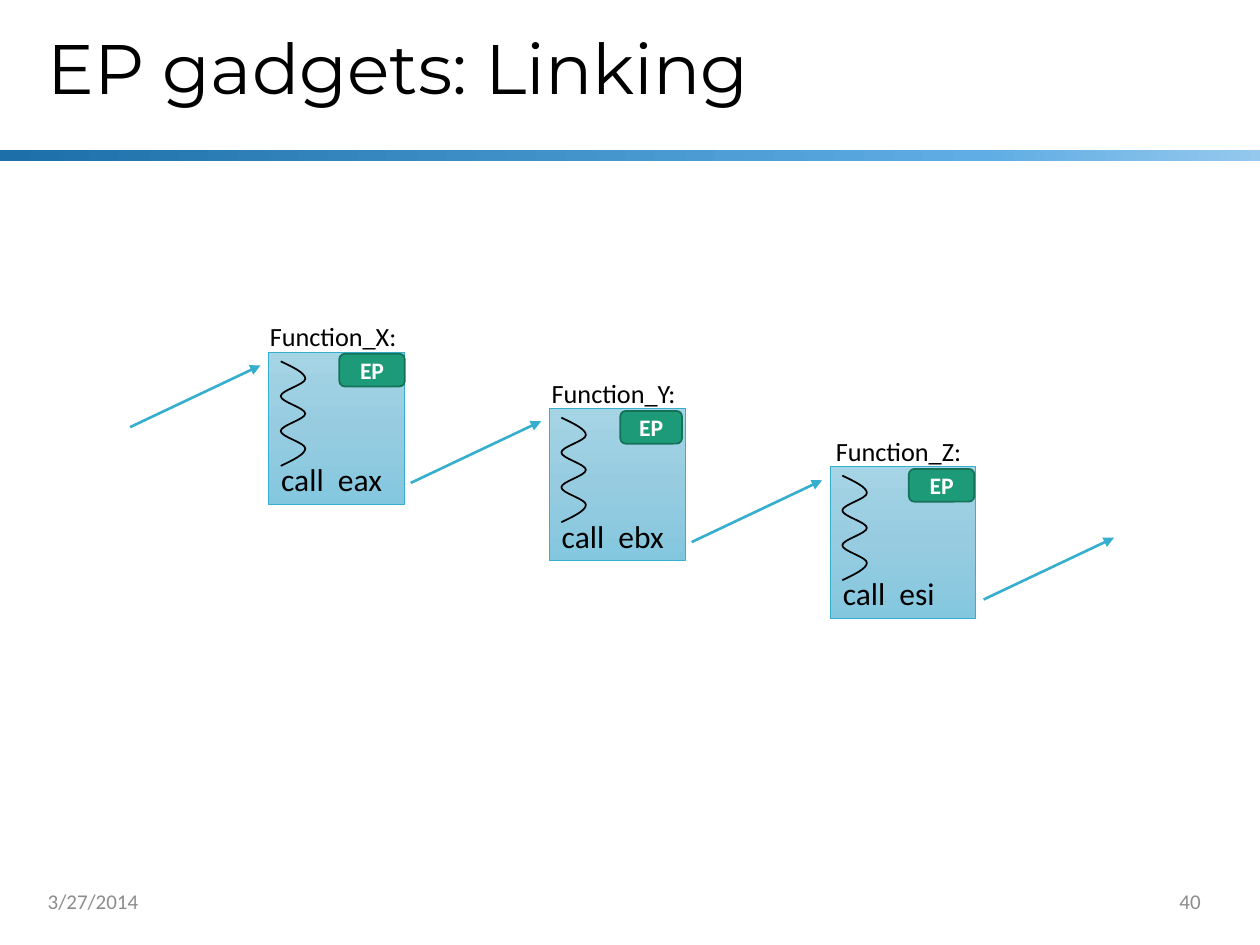
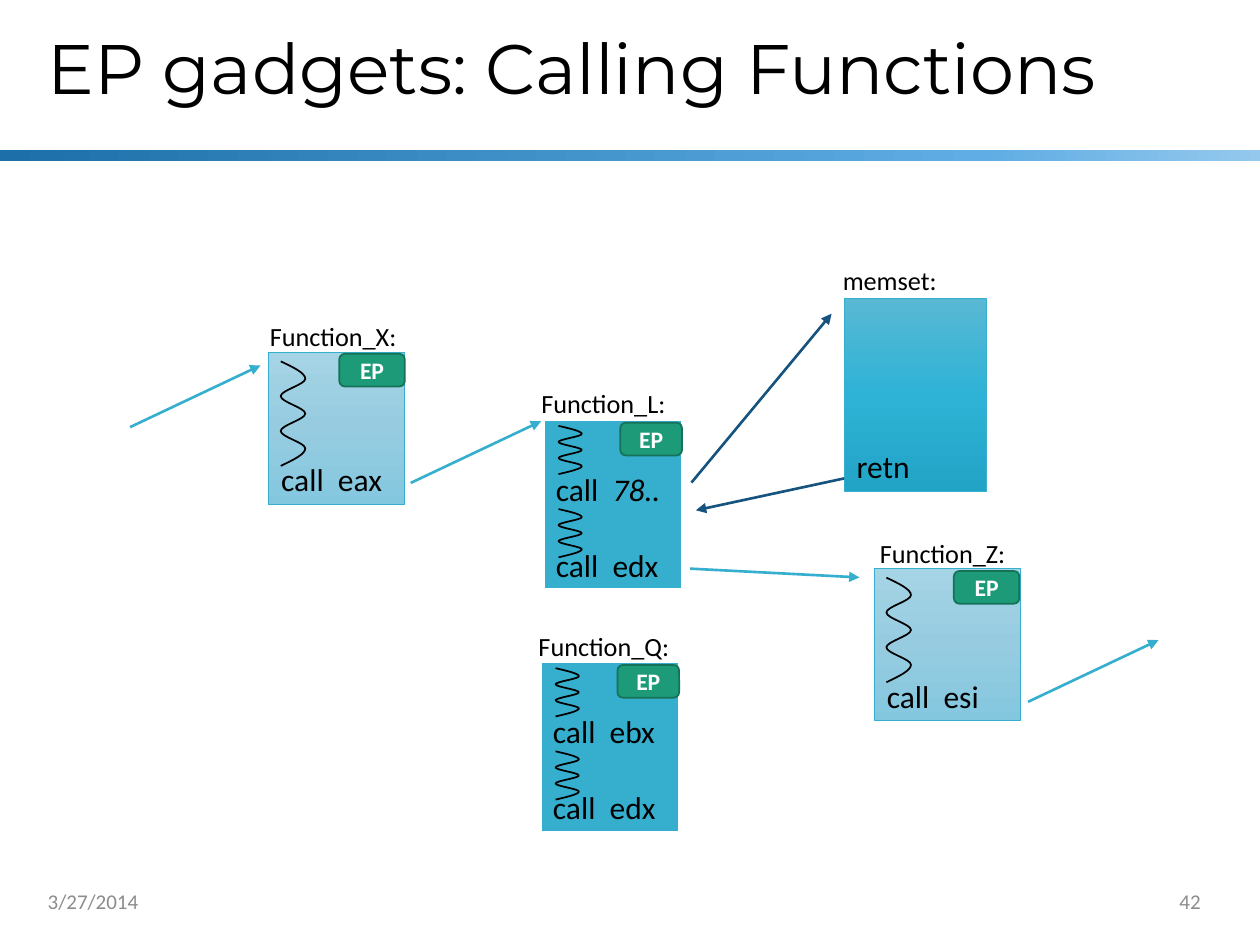
import pptx
import pptx.dml.color
import pptx.enum.shapes
import pptx.enum.text
import pptx.oxml
import pptx.oxml.ns
import pptx.util

RGB = pptx.dml.color.RGBColor
SHAPE = pptx.enum.shapes.MSO_SHAPE
ANCHOR = pptx.enum.text.MSO_ANCHOR
ALIGN = pptx.enum.text.PP_ALIGN
Pt = pptx.util.Pt

BLACK = RGB(0x00, 0x00, 0x00)
WHITE = RGB(0xFF, 0xFF, 0xFF)
GREY = RGB(0x8C, 0x8C, 0x8C)
CYAN = RGB(0x36, 0xAF, 0xCE)
NAVY = RGB(0x16, 0x53, 0x7F)
GREEN = RGB(0x1D, 0x9A, 0x78)
DARK_GREEN = RGB(0x15, 0x72, 0x59)
BAND = [(0, RGB(0x1D, 0x6F, 0xA9)), (78, RGB(0x5F, 0xAD, 0xE4)), (100, RGB(0x94, 0xC8, 0xED))]
PALE = [(0, RGB(0xA5, 0xD4, 0xE5)), (50, RGB(0x97, 0xCC, 0xE0)), (100, RGB(0x83, 0xC7, 0xDF))]
DEEP = [(0, RGB(0x59, 0xB8, 0xD4)), (50, RGB(0x2E, 0xB3, 0xD6)), (100, RGB(0x21, 0xA4, 0xC6))]

COLUMNS, ROWS = 100, 75
CELL = pptx.util.Inches(0.1)

TITLE = dict(name="Montserrat", size=Pt(40))
FOOTER = dict(name="Calibri", size=Pt(12))
LABEL = dict(name="Calibri", size=Pt(15))
CODE = dict(name="Calibri", size=Pt(18))
BADGE = dict(name="Calibri", size=Pt(13.5), bold=True)

ENTRY = (10.33, 33.9)
HOP = (10.35, -4.9)


def cells(*lengths):
    """Turn grid cells into EMU."""
    return [round(n * CELL) for n in lengths]


def write(p, text, style, color=BLACK, **extra):
    """Add a formatted run to a paragraph."""
    r = p.add_run()
    r.text = text
    for key, value in {**style, **extra}.items():
        setattr(r.font, key, value)
    r.font.color.rgb = color


def add_text(s, box, text, style, color=BLACK, align=ALIGN.LEFT, anchor=ANCHOR.TOP, wrap=True):
    """Add a one-paragraph text box and return its paragraph."""
    tf = s.shapes.add_textbox(*cells(*box)).text_frame
    tf.word_wrap, tf.vertical_anchor = wrap, anchor
    p = tf.paragraphs[0]
    p.alignment = align
    write(p, text, style, color)
    return p


def add_box(s, kind, box, fill, line=None, width=0.5, angle=90):
    """Add a shape with a solid colour or a list of gradient stops."""
    sp = s.shapes.add_shape(kind, *cells(*box))
    sp.shadow.inherit = False
    if isinstance(fill, RGB):
        sp.fill.solid()
        sp.fill.fore_color.rgb = fill
    else:
        sp.fill.background()
        stops = "".join(f'<a:gs pos="{pos * 1000}"><a:srgbClr val="{color}"/></a:gs>' for pos, color in fill)
        gradient = pptx.oxml.parse_xml(
            f'<a:gradFill {pptx.oxml.ns.nsdecls("a")} rotWithShape="1"><a:gsLst>{stops}</a:gsLst>'
            f'<a:lin ang="{angle * 60000}" scaled="0"/></a:gradFill>')
        sp_pr = sp._element.spPr
        sp_pr.replace(sp_pr.find(pptx.oxml.ns.qn("a:noFill")), gradient)
    if line is None:
        sp.line.fill.background()
    else:
        sp.line.color.rgb, sp.line.width = line, Pt(width)
    return sp


def add_code(sp, lines, gap=0):
    """Write code lines at the foot of a shape; a second part of a line is italic."""
    tf = sp.text_frame
    tf.word_wrap, tf.vertical_anchor = True, ANCHOR.BOTTOM
    for i, parts in enumerate(lines):
        p = tf.add_paragraph() if i else tf.paragraphs[0]
        p.alignment = ALIGN.LEFT
        if i:
            p.space_before = Pt(gap)
        for j, part in enumerate(parts):
            write(p, part, CODE, italic=bool(j))


def add_arrow(s, start, end, color=CYAN):
    """Draw an arrow between two grid points."""
    c = s.shapes.add_connector(pptx.enum.shapes.MSO_CONNECTOR.STRAIGHT, *cells(*start, *end))
    c.line.color.rgb, c.line.width = color, Pt(1.5)
    ns = pptx.oxml.ns.nsdecls("a")
    c.line._get_or_add_ln().append(pptx.oxml.parse_xml(f'<a:tailEnd {ns} type="triangle"/>'))
    c._element.spPr.append(pptx.oxml.parse_xml(f"<a:effectLst {ns}/>"))


def add_hop(s, start):
    """Draw the standard rising arrow from a grid point."""
    add_arrow(s, start, (start[0] + HOP[0], start[1] + HOP[1]))


def add_squiggle(s, box, bends=6):
    """Draw a curve that swings from side to side while going down the box."""
    left, top, width, height = cells(*box)
    turns = [(i % 2 * width, round(i * height / bends)) for i in range(bends + 1)]
    builder = s.shapes.build_freeform(left, top)
    builder.add_line_segments([(left + x, top + y) for x, y in turns[1:]], close=False)
    sp = builder.convert_to_shape()
    sp.shadow.inherit = False
    sp.fill.background()
    sp.line.color.rgb, sp.line.width = BLACK, Pt(1)
    segments = list(sp._element.iter(pptx.oxml.ns.qn("a:lnTo")))
    for i, segment in enumerate(segments):
        (x0, y0), (x1, y1) = turns[i], turns[i + 1]
        first_x = width // 2 if i == 0 else x0
        second_x = width // 2 if i == bends - 1 else x1
        third = (y1 - y0) // 3
        points = ((first_x, y0 + third), (second_x, y1 - third), (x1, y1))
        pts = "".join(f'<a:pt x="{x}" y="{y}"/>' for x, y in points)
        curve = pptx.oxml.parse_xml(f'<a:cubicBezTo {pptx.oxml.ns.nsdecls("a")}>{pts}</a:cubicBezTo>')
        segment.getparent().replace(segment, curve)


def add_badge(s, box, width, inset, drop):
    """Put the EP badge in the upper right corner of a box."""
    left, top, w, _ = box
    place = (left + w - width - inset, top + drop, width, 2.6)
    sp = add_box(s, SHAPE.ROUNDED_RECTANGLE, place, GREEN, DARK_GREEN, 1)
    tf = sp.text_frame
    for side in ("left", "top", "right", "bottom"):
        setattr(tf, f"margin_{side}", 0)
    tf.vertical_anchor = ANCHOR.MIDDLE
    tf.paragraphs[0].alignment = ALIGN.CENTER
    write(tf.paragraphs[0], "EP", BADGE, WHITE)


def add_gadget(s, box, name, code, shift=-0.55, badge=5.2, inset=0.1, drop=0.2):
    """Draw a function with a single call."""
    left, top, _, _ = box
    add_code(add_box(s, SHAPE.RECTANGLE, box, PALE, CYAN), [[code]])
    add_squiggle(s, (left + 0.95, top + 0.73, 1.95, 8.3))
    add_text(s, (left + shift, top - 3, 12.2, 3.5), name, LABEL, wrap=False)
    add_badge(s, box, badge, inset, drop)


def add_double_gadget(s, box, name, lines):
    """Draw a function with two calls, each after a squiggle."""
    left, top, _, _ = box
    add_code(add_box(s, SHAPE.RECTANGLE, box, CYAN, WHITE, 1.5), lines, gap=21.7)
    add_text(s, (left - 1.15, top - 3.03, 13.5, 3.5), name, LABEL)
    add_badge(s, box, 4.9, 0, 0.25)
    for drop in (0.5, 7.1):
        add_squiggle(s, (left + 1.2, top + drop, 1.85, 3.83))


def add_library_function(s, box, name, code):
    """Draw a library function that returns to its caller."""
    left, top, _, _ = box
    add_code(add_box(s, SHAPE.RECTANGLE, box, DEEP, CYAN), [[code]])
    add_text(s, (left - 1.1, top - 3.2, 13.5, 3.5), name, LABEL)


def add_first_gadget(s):
    """Draw Function_X with the arrows into and out of it."""
    add_gadget(s, (21.33, 27.95, 10.8, 12.07), "Function_X:", "call  eax", -0.9, inset=0, drop=0.13)
    for start in (ENTRY, (32.6, 38.33)):
        add_hop(s, start)


def add_base_slide(prs, title, number):
    """Add a slide with band, title, date and slide number."""
    s = prs.slides.add_slide(prs.slide_layouts[6])
    add_box(s, SHAPE.RECTANGLE, (0, 11.9, COLUMNS, 0.85), BAND, angle=0)
    p = add_text(s, (2.8, 0.07, 93.5, 11.3), title, TITLE, anchor=ANCHOR.MIDDLE)
    p.line_spacing = 0.9
    for left, text, align in ((2.8, "3/27/2014", ALIGN.LEFT), (73.77, number, ALIGN.RIGHT)):
        add_text(s, (left, 69.5, 22.5, 4), text, FOOTER, GREY, align, ANCHOR.MIDDLE)
    return s


def add_linking_slide(prs):
    """Build the chain of three gadgets."""
    s = add_base_slide(prs, "EP gadgets: Linking", "40")
    add_first_gadget(s)
    add_gadget(s, (43.6, 32.42, 10.8, 12.07), "Function_Y:", "call  ebx", -0.8, 4.9, 0.27)
    add_gadget(s, (65.9, 37.02, 11.53, 12.07), "Function_Z:", "call  esi")
    for start in ((54.9, 43.02), (78.07, 47.58)):
        add_hop(s, start)


def add_calling_slide(prs):
    """Build the chain that calls a library function."""
    s = add_base_slide(prs, "EP gadgets: Calling Functions", "42")
    add_first_gadget(s)
    add_gadget(s, (69.4, 45.12, 11.6, 12.07), "Function_Z:", "call  esi")
    add_library_function(s, (67, 23.7, 11.3, 15.3), "memset:", "retn")
    add_double_gadget(s, (43.13, 33.3, 11, 13.5), "Function_L:", [["call  ", "78.."], ["call  edx"]])
    add_double_gadget(s, (42.9, 52.53, 11, 13.5), "Function_Q:", [["call  ebx"], ["call  edx"]])
    add_hop(s, (81.6, 55.7))
    add_arrow(s, (54.77, 45.13), (68.22, 45.83))
    add_arrow(s, (54.88, 38.3), (66, 24.9), NAVY)
    add_arrow(s, (67, 37.97), (55.23, 40.5), NAVY)


def main():
    """Build and save the presentation."""
    prs = pptx.Presentation()
    prs.slide_width, prs.slide_height = cells(COLUMNS, ROWS)
    add_linking_slide(prs)
    add_calling_slide(prs)
    prs.save("out.pptx")


if __name__ == "__main__":
    main()
